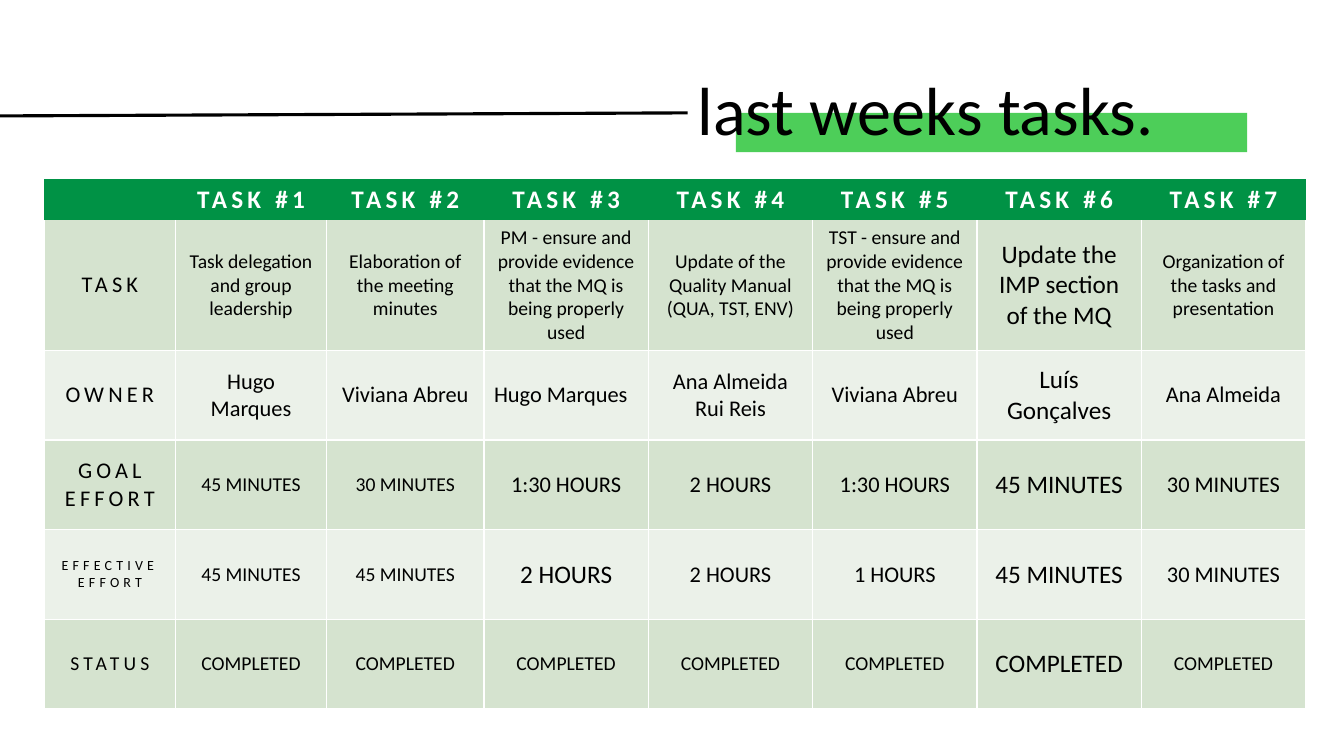
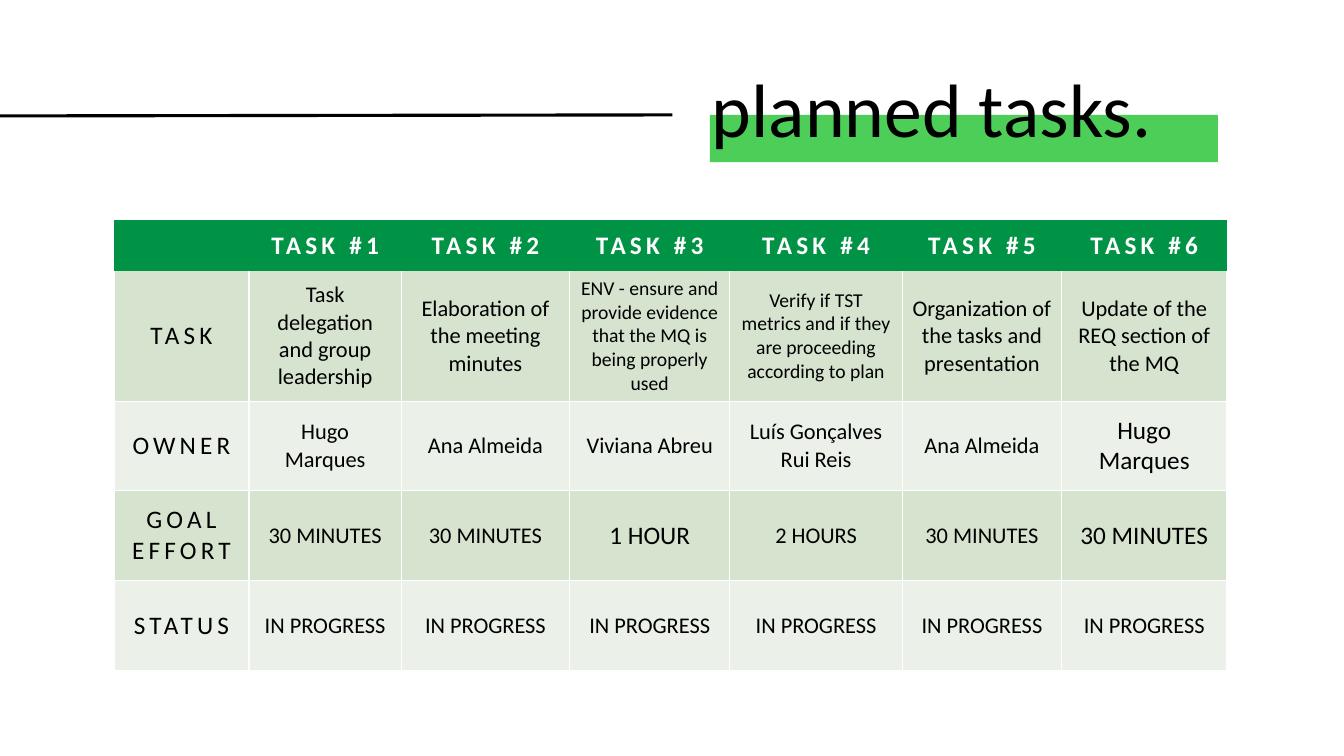
from dataclasses import dataclass
from lxml import etree
from pptx import Presentation
from pptx.dml.color import RGBColor
from pptx.enum.shapes import MSO_CONNECTOR, MSO_SHAPE
from pptx.enum.text import MSO_ANCHOR, MSO_AUTO_SIZE, PP_ALIGN
from pptx.oxml.ns import qn
from pptx.util import Inches, Pt

LEFT, CENTER = PP_ALIGN.LEFT, PP_ALIGN.CENTER
MIDDLE = MSO_ANCHOR.MIDDLE
STRAIGHT = MSO_CONNECTOR.STRAIGHT
RECT = MSO_SHAPE.RECTANGLE
NO_FIT = MSO_AUTO_SIZE.NONE


@dataclass(frozen=True)
class Theme:
    font: str = "Calibri"
    ink: str = "000000"
    paper: str = "FFFFFF"
    accent: str = "4DCE59"
    head: str = "009245"
    bands: tuple = ("D5E3CF", "EBF1E9")
    tiny: float = 10
    small: float = 14
    mid: float = 16
    large: float = 18
    title: float = 54
    snug: float = 48.6
    track: int = 3
    rule: float = 2.25
    grid: float = 1


THEME = Theme()
TINY, SMALL, MID, LARGE = THEME.tiny, THEME.small, THEME.mid, THEME.large


def write(frame, text, size=MID, color=THEME.ink, bold=False, track=0,
          align=CENTER, lead=None):
    frame.word_wrap = True
    for num, line in enumerate(text.split("\n")):
        para = frame.paragraphs[0] if num == 0 else frame.add_paragraph()
        para.alignment = align
        para.line_spacing = lead
        run = para.add_run()
        run.text = line
        run.font.name = THEME.font
        run.font.size = Pt(size)
        run.font.bold = bold
        run.font.color.rgb = RGBColor.from_string(color)
        if track:
            run.font._element.set("spc", str(track * 100))


def border(cell, sides):
    props = cell._tc.get_or_add_tcPr()
    for spot, side in enumerate("LRTB"):
        line = etree.Element(qn(f"a:ln{side}"))
        if side in sides:
            line.set("w", str(Pt(THEME.grid)))
            fill = etree.SubElement(line, qn("a:solidFill"))
            etree.SubElement(fill, qn("a:srgbClr"), val=THEME.paper)
        else:
            etree.SubElement(line, qn("a:noFill"))
        props.insert(spot, line)


class Deck:
    def __init__(self, theme):
        self.theme = theme
        self.file = Presentation()
        self.file.slide_width = Inches(13.33)
        self.file.slide_height = Inches(7.5)
        self.slide = None

    def start(self):
        self.slide = self.file.slides.add_slide(self.file.slide_layouts[5])
        fill = self.slide.background.fill
        fill.solid()
        fill.fore_color.rgb = RGBColor.from_string(self.theme.paper)

    def band(self, *area):
        shape = self.slide.shapes.add_shape(RECT, *map(Inches, area))
        shape.shadow.inherit = False
        shape.fill.solid()
        shape.fill.fore_color.rgb = RGBColor.from_string(self.theme.accent)
        shape.line.fill.background()

    def rule(self, *ends):
        line = self.slide.shapes.add_connector(STRAIGHT, *map(Inches, ends))
        line.line.color.rgb = RGBColor.from_string(self.theme.ink)
        line.line.width = Pt(self.theme.rule)
        etree.SubElement(line._element.spPr, qn("a:effectLst"))

    def title(self, text, left, width, size):
        shape = self.slide.shapes.title
        shape.left, shape.top = Inches(left), Inches(0.4)
        shape.width, shape.height = Inches(width), Inches(1.45)
        frame = shape.text_frame
        frame.auto_size = NO_FIT
        frame.vertical_anchor = MIDDLE
        write(frame, text, size=size, align=LEFT, lead=0.9)
        self.slide.shapes._spTree.append(shape._element)

    def cell(self, cell, text, fill, sides, **style):
        cell.fill.solid()
        cell.fill.fore_color.rgb = RGBColor.from_string(fill)
        cell.vertical_anchor = MIDDLE
        border(cell, sides)
        if text:
            write(cell.text_frame, text, **style)

    def table(self, left, top, widths, heights, rows):
        theme = self.theme
        area = left, top, sum(widths), sum(heights)
        grid = self.slide.shapes.add_table(
            len(heights), len(widths), *map(Inches, area)).table
        grid.first_row = grid.horz_banding = False
        for col, width in zip(grid.columns, widths):
            col.width = Inches(width)
        for row, height in zip(grid.rows, heights):
            row.height = Inches(height)
        for col in range(len(widths)):
            self.cell(grid.cell(0, col), f"TASK #{col}" if col else "",
                      theme.head, "", size=theme.large, color=theme.paper,
                      bold=True, track=theme.track)
        for num, (label, big, size, items) in enumerate(rows, 1):
            fill = theme.bands[(num - 1) % 2]
            sides = "LRB" if num == 1 else "LRTB"
            self.cell(grid.cell(num, 0), label, fill, sides,
                      size=big, track=theme.track)
            for col, item in enumerate(items, 1):
                text, style = item if isinstance(item, tuple) else (item, {})
                self.cell(grid.cell(num, col), text, fill, sides,
                          **{"size": size, **style})


def sized(text, size):
    return text, {"size": size}


def proof(area):
    return f"{area} - ensure and provide evidence that the MQ is being properly used"


LEAD = "Task delegation and group leadership"
NOTES = "Elaboration of the meeting minutes"
SLIDES = "Organization of the tasks and presentation"
HUGO, ANA, VIVI, LUIS = "Hugo Marques", "Ana Almeida", "Viviana Abreu", "Luís Gonçalves"
RUI = "Rui Reis"
HALF, MOST = "30 MINUTES", "45 MINUTES"
LONG, TWO = "1:30 HOURS", "2 HOURS"
DONE, DOING = "COMPLETED", "IN PROGRESS"
GOAL = "GOAL\nEFFORT"

LAST = [
    ("TASK", MID, SMALL,
     [LEAD, NOTES, proof("PM"), "Update of the Quality Manual\n(QUA, TST, ENV)",
      proof("TST"), sized("Update the IMP section of the MQ", LARGE), SLIDES]),
    ("OWNER", MID, MID,
     [HUGO, VIVI, (HUGO, {"align": LEFT}), f"{ANA}\n{RUI}", VIVI,
      sized(LUIS, LARGE), ANA]),
    (GOAL, MID, MID,
     [sized(MOST, SMALL), sized(HALF, SMALL), LONG, TWO, LONG,
      sized(MOST, LARGE), HALF]),
    ("EFFECTIVE EFFORT", TINY, MID,
     [sized(MOST, SMALL), sized(MOST, SMALL), sized(TWO, LARGE), TWO,
      "1 HOURS", sized(MOST, LARGE), HALF]),
    ("STATUS", SMALL, SMALL, [DONE] * 5 + [sized(DONE, LARGE), DONE]),
]

NEXT = [
    ("TASK", LARGE, MID,
     [LEAD, NOTES, sized(proof("ENV"), SMALL),
      sized("Verify if TST metrics and if they are proceeding according to plan",
            SMALL),
      SLIDES, "Update of the REQ section of the MQ"]),
    ("OWNER", LARGE, MID,
     [HUGO, ANA, VIVI, f"{LUIS}\n{RUI}", ANA, sized(HUGO, LARGE)]),
    (GOAL, LARGE, MID,
     [HALF, HALF, sized("1 HOUR", LARGE), TWO, HALF, sized(HALF, LARGE)]),
    ("STATUS", LARGE, MID, [DOING] * 6),
]

deck = Deck(THEME)

deck.start()
deck.band(7.3, 1.12, 5.07, 0.39)
deck.table(0.44, 1.78, [1.3, 1.5, 1.56] + [1.63] * 5,
           [0.4, 1.29] + [0.89] * 4, LAST)
deck.rule(0, 1.15, 6.82, 1.12)
deck.title("last weeks tasks.", 6.82, 5.6, THEME.snug)

deck.start()
deck.band(7.04, 1.14, 5.04, 0.47)
deck.table(1.13, 2.18, [1.34, 1.51, 1.67, 1.59, 1.71, 1.58, 1.64],
           [0.51, 1.29] + [0.89] * 3, NEXT)
deck.rule(0, 1.15, 6.67, 1.14)
deck.title("planned tasks.", 6.96, 5.45, THEME.title)

deck.file.save("out.pptx")
